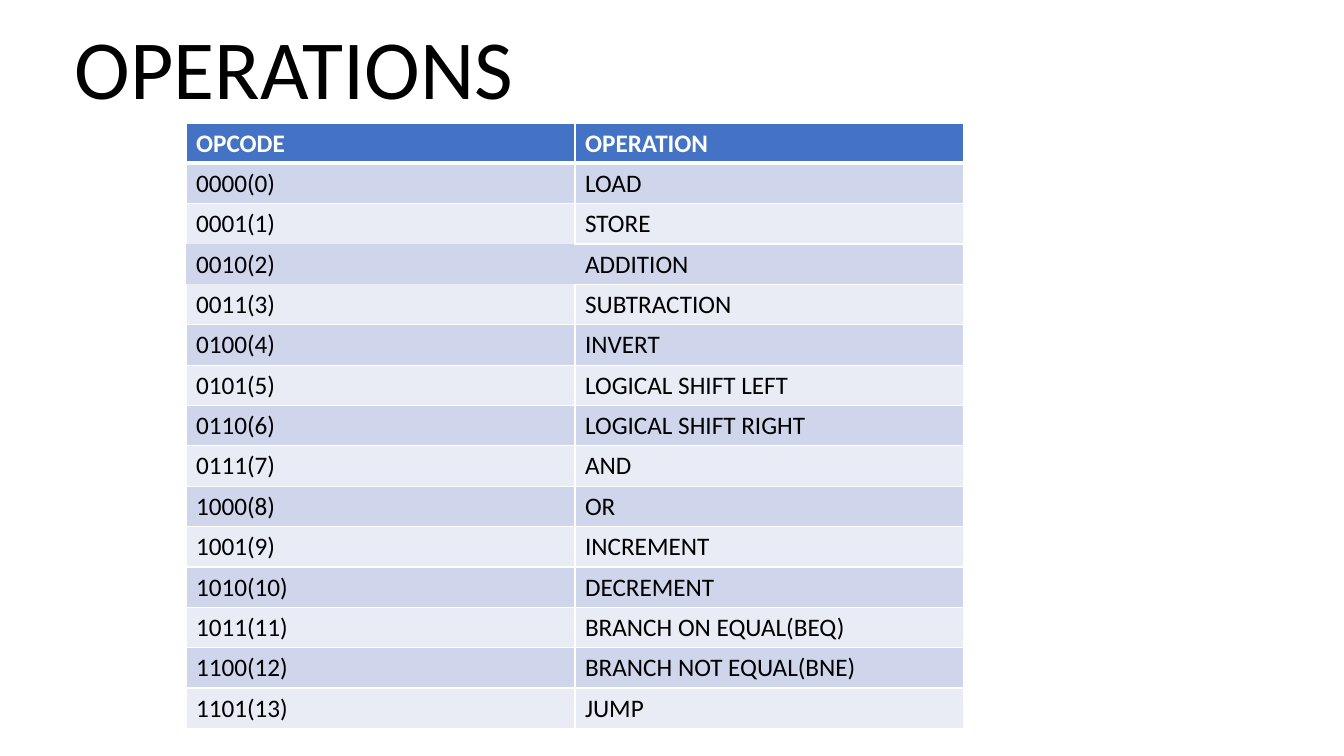
from lxml.etree import SubElement
from pptx import Presentation
from pptx.dml.color import RGBColor
from pptx.enum.text import MSO_ANCHOR, PP_ALIGN
from pptx.oxml.ns import qn
from pptx.util import Pt

PX = 9071  # EMU per pixel
COLORS = {"header": "4472C4", "odd": "CFD5EA", "even": "E9EBF5",
          "border": "FFFFFF", "header_text": "FFFFFF", "text": "000000"}


def format_text(paragraph, size, color, bold=False):
    for run in paragraph.runs:
        run.font.name = "Calibri"
        run.font.size = Pt(size)
        run.font.bold = bold
        run.font.color.rgb = RGBColor.from_string(COLORS[color])


def add_border(cell, side, width):
    """Draw one cell edge; a width of 0 hides it."""
    line = SubElement(cell._tc.get_or_add_tcPr(), qn(f"a:ln{side}"), w=str(Pt(width)))
    if width:
        fill = SubElement(line, qn("a:solidFill"))
        SubElement(fill, qn("a:srgbClr"), val=COLORS["border"])
    else:
        SubElement(line, qn("a:noFill"))


presentation = Presentation()
presentation.slide_width = 1344 * PX
presentation.slide_height = 756 * PX
slide = presentation.slides.add_slide(presentation.slide_layouts[6])

# Title
title = slide.shapes.add_textbox(52 * PX, 0, 484 * PX, 123 * PX).text_frame
title.word_wrap = True
title.vertical_anchor = MSO_ANCHOR.BOTTOM
title.text = "OPERATIONS"
heading = title.paragraphs[0]
heading.alignment = PP_ALIGN.CENTER
heading.line_spacing = 0.9
format_text(heading, 60, "text")

# Opcodes are the operation numbers in four-bit binary
operations = ["LOAD", "STORE", "ADDITION", "SUBTRACTION", "INVERT",
              "LOGICAL SHIFT LEFT", "LOGICAL SHIFT RIGHT", "AND", "OR",
              "INCREMENT", "DECREMENT", "BRANCH ON EQUAL(BEQ)",
              "BRANCH NOT EQUAL(BNE)", "JUMP"]
rows = [("OPCODE", "OPERATION")]
rows += [(f"{number:04b}({number})", name) for number, name in enumerate(operations)]

# Edges around the borderless 0010(2) cell
hidden_edges = {(3, 0): "LRTB", (2, 0): "B", (4, 0): "T", (3, 1): "L"}

# Operations table
table = slide.shapes.add_table(len(rows), 2, 186 * PX, 123 * PX,
                               778 * PX, 40 * len(rows) * PX).table
for row_index, row in enumerate(rows):
    is_header = row_index == 0
    band = "header" if is_header else "odd" if row_index % 2 else "even"
    for column_index, label in enumerate(row):
        cell = table.cell(row_index, column_index)
        cell.text = label
        format_text(cell.text_frame.paragraphs[0], 18,
                    "header_text" if is_header else "text", is_header)
        for side in "LRTB":
            hidden = side in hidden_edges.get((row_index, column_index), "")
            under_header = (row_index, side) in ((0, "B"), (1, "T"))
            add_border(cell, side, 0 if hidden else 3 if under_header else 1)
        cell.fill.solid()
        cell.fill.fore_color.rgb = RGBColor.from_string(COLORS[band])

presentation.save("out.pptx")
